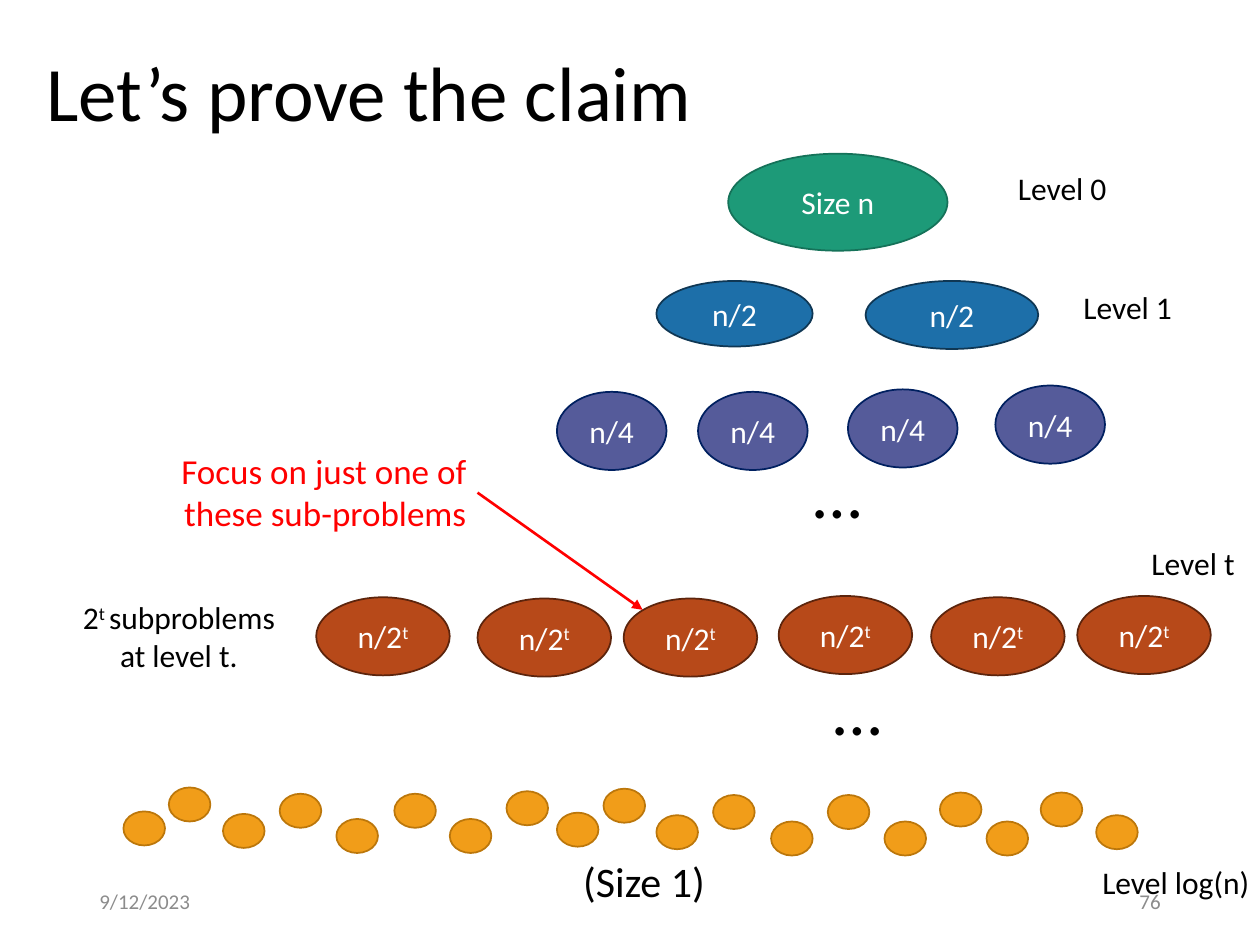
from lxml.etree import SubElement
from pptx import Presentation
from pptx.dml.color import RGBColor
from pptx.enum.shapes import MSO_CONNECTOR, MSO_SHAPE
from pptx.enum.text import MSO_ANCHOR, PP_ALIGN
from pptx.oxml.ns import qn
from pptx.util import Inches, Pt

FONT = "Calibri"
TOP_PROBLEM = ("1D9A78", "157259")
HALVES = ("1D6FA9", "0F3754")
QUARTERS = ("555B9A", "002060")
LEVEL_T = ("B74919", "5C240C")
LEAVES = ("F19D19", "BC770B")

QUARTER_SPOTS = [(7.9, 3.06), (6.73, 3.09), (5.54, 3.11), (4.42, 3.11)]
LEVEL_T_SPOTS = [(8.55, 4.73), (7.39, 4.74), (6.18, 4.73),
                 (4.95, 4.75), (3.79, 4.75), (2.51, 4.74)]
LEAF_SPOTS = [(8.7, 6.47), (8.26, 6.29), (7.83, 6.52), (7.46, 6.29), (7.02, 6.52),
              (6.57, 6.31), (6.12, 6.52), (5.66, 6.31), (5.21, 6.47), (4.79, 6.26),
              (4.42, 6.45), (4.02, 6.28), (3.57, 6.5), (3.13, 6.3), (2.67, 6.5),
              (2.22, 6.3), (1.77, 6.46), (1.34, 6.25), (0.98, 6.44)]
LEVEL_LABELS = [("Level 0", 7.98, 1.29), ("Level 1", 8.5, 2.24),
                ("Level t", 9.04, 4.27), ("Level log(n)", 8.65, 6.8)]


def color(hex_string):
    """Turn a hex string into a colour."""
    return RGBColor.from_string(hex_string)


def write(frame, text, size=18, ink="000000", align=PP_ALIGN.LEFT,
          anchor=MSO_ANCHOR.TOP, wrap=True, spacing=None):
    """Write text into a frame; parts between carets are superscript."""
    frame.word_wrap = wrap
    frame.vertical_anchor = anchor
    paragraph = frame.paragraphs[0]
    paragraph.alignment = align
    paragraph.line_spacing = spacing
    for index, part in enumerate(text.split("^")):
        run = paragraph.add_run()
        run.text = part
        run.font.name = FONT
        run.font.size = Pt(size)
        run.font.color.rgb = color(ink)
        if index % 2:
            run._r.get_or_add_rPr().set("baseline", "30000")


def add_label(slide, text, left, top, width, height, **text_format):
    """Add a text box."""
    label = slide.shapes.add_textbox(Inches(left), Inches(top), Inches(width), Inches(height))
    write(label.text_frame, text, **text_format)


def add_problem(slide, text, left, top, width, height, colors):
    """Add an ellipse that stands for one subproblem."""
    problem = slide.shapes.add_shape(MSO_SHAPE.OVAL, Inches(left), Inches(top),
                                     Inches(width), Inches(height))
    fill, outline = colors
    problem.shadow.inherit = False
    problem.fill.solid()
    problem.fill.fore_color.rgb = color(fill)
    problem.line.color.rgb = color(outline)
    problem.line.width = Pt(1)
    if text:
        write(problem.text_frame, text, ink="FFFFFF", align=PP_ALIGN.CENTER,
              anchor=MSO_ANCHOR.MIDDLE)


def add_arrow(slide, start, end, ink):
    """Add a straight arrow between two points."""
    arrow = slide.shapes.add_connector(MSO_CONNECTOR.STRAIGHT,
                                       *(Inches(value) for value in start + end))
    arrow.line.color.rgb = color(ink)
    arrow.line.width = Pt(1.5)
    SubElement(arrow.line._get_or_add_ln(), qn("a:tailEnd"), type="triangle")
    SubElement(arrow._element.spPr, qn("a:effectLst"))


def add_tree(slide):
    """Add the problems of every level of the recursion tree."""
    add_problem(slide, "Size n", 5.78, 1.22, 1.74, 0.77, TOP_PROBLEM)
    add_problem(slide, "n/2", 6.87, 2.23, 1.37, 0.54, HALVES)
    add_problem(slide, "n/2", 5.21, 2.23, 1.24, 0.52, HALVES)
    for spots, text, width, height, colors in [
        (QUARTER_SPOTS, "n/4", 0.87, 0.62, QUARTERS),
        (LEVEL_T_SPOTS, "n/2^t", 1.06, 0.62, LEVEL_T),
        (LEAF_SPOTS, "", 0.33, 0.27, LEAVES),
    ]:
        for left, top in spots:
            add_problem(slide, text, left, top, width, height, colors)


def add_notes_on_tree(slide):
    """Add the level labels, ellipsis marks and remarks around the tree."""
    for text, left, top in LEVEL_LABELS:
        add_label(slide, text, left, top, 1.44, 0.4)
    for left, top in [(6.36, 3.51), (6.52, 5.23)]:
        add_label(slide, "…", left, top, 0.57, 0.77, size=40)
    add_label(slide, "(Size 1)", 4.53, 6.74, 1.18, 0.5, size=24, wrap=False)
    add_label(slide, "2^t ^subproblems at level t.", 0.44, 4.7, 1.96, 0.71,
              align=PP_ALIGN.CENTER)
    add_label(slide, "Focus on just one of these sub-problems", 1.02, 3.52, 2.78, 0.77,
              size=20, ink="FF0000", align=PP_ALIGN.RIGHT)
    add_arrow(slide, (3.79, 3.91), (5.1, 4.84), "FF0000")


def main():
    """Build the slide and save it."""
    deck = Presentation()
    deck.slide_width = Inches(10)
    deck.slide_height = Inches(7.5)
    slide = deck.slides.add_slide(deck.slide_layouts[6])
    add_label(slide, "Let’s prove the claim", 0.27, 0.04, 8.62, 1.45, size=44,
              anchor=MSO_ANCHOR.MIDDLE, spacing=0.9)
    add_tree(slide)
    add_notes_on_tree(slide)
    footer = {"size": 12, "ink": "8C8C8C", "anchor": MSO_ANCHOR.MIDDLE}
    add_label(slide, "9/12/2023", 0.69, 6.95, 2.25, 0.4, **footer)
    add_label(slide, "76", 7.06, 6.95, 2.25, 0.4, align=PP_ALIGN.RIGHT, **footer)
    deck.save("out.pptx")


if __name__ == "__main__":
    main()
